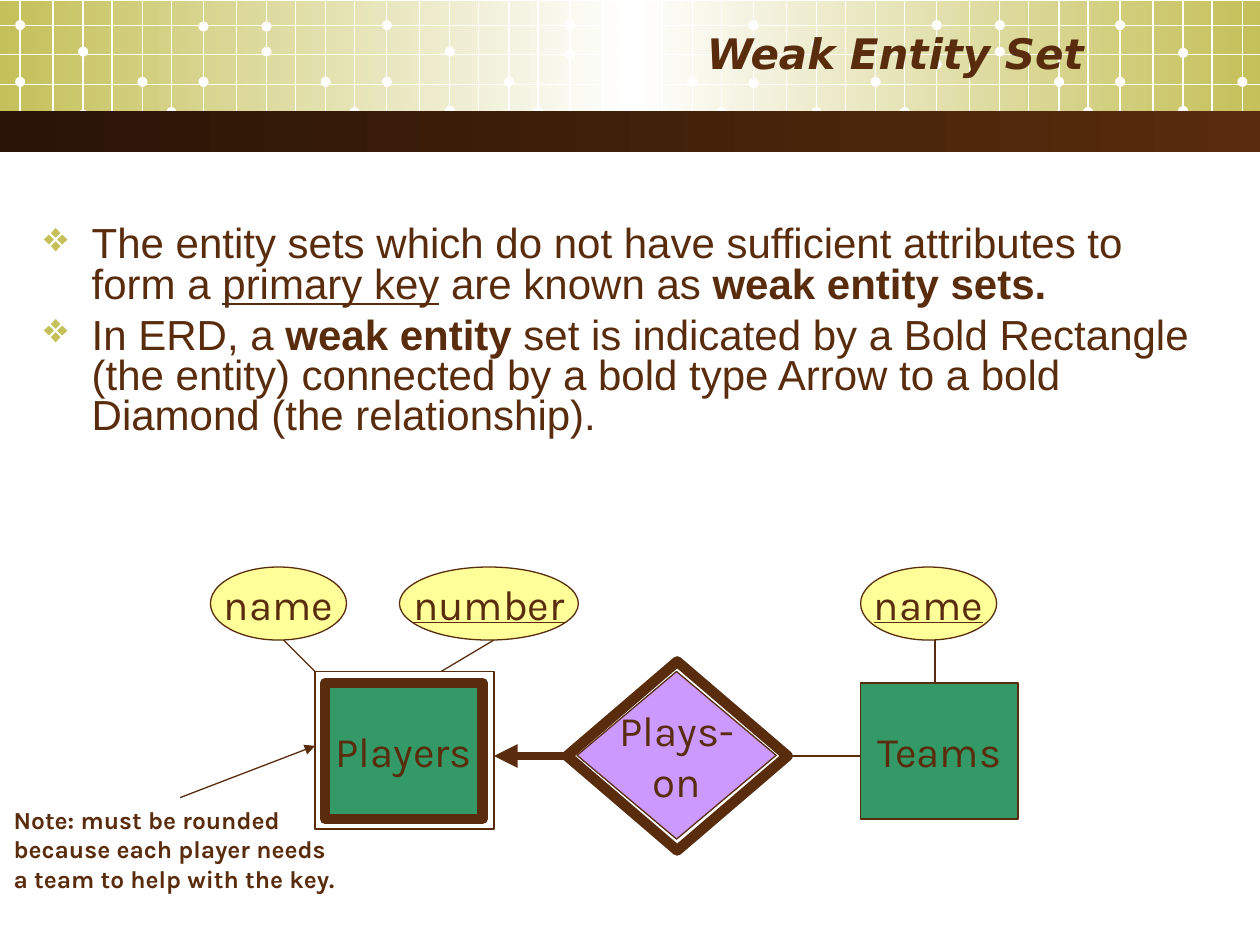
from lxml.etree import SubElement
from pptx import Presentation
from pptx.dml.color import RGBColor
from pptx.enum.shapes import MSO_CONNECTOR, MSO_SHAPE
from pptx.enum.text import MSO_ANCHOR, PP_ALIGN
from pptx.oxml.ns import qn
from pptx.util import Inches, Pt

BROWN = RGBColor(0x59, 0x2C, 0x0D)
DARK = RGBColor(0x29, 0x14, 0x06)
OLIVE = RGBColor(0xC5, 0xC0, 0x59)
WHITE = RGBColor(0xFF, 0xFF, 0xFF)
GREEN = RGBColor(0x33, 0x99, 0x66)
LILAC = RGBColor(0xCC, 0x99, 0xFF)
CREAM = RGBColor(0xFF, 0xFF, 0x99)

RECT, OVAL, DIAMOND = MSO_SHAPE.RECTANGLE, MSO_SHAPE.OVAL, MSO_SHAPE.DIAMOND

# Grid columns repeat in groups of six.
GROUP = 1.455
STEPS = (0, 0.26, 0.5, 0.73, 0.97, 1.2)
ROWS = (0.2, 0.43, 0.67, 0.89)
DOT = 0.08
# Dot tops in each group: two on the first column, two on the third.
DOTS = (
    (0.16, 0.61, 0.37, 0.87),
    (0.17, 0.61, 0.37, 0.17),
    (0.16, 0.61, 0.37, 0.84),
    (0.16, 0.39, 0.38, 0.16),
    (0.16, 0.62, 0.31, 0.85),
    (0.16, 0.47, 0.37, 0.16),
    (0.16, 0.61, 0.38, 0.84),
)

# Each run is its text and its style: "b" for bold, "u" for underlined.
POINTS = (
    (
        ("The entity sets which do not have sufficient attributes to form a ", ""),
        ("primary key", "u"),
        (" are known as ", ""),
        ("weak entity sets.", "b"),
    ),
    (
        ("In ERD, a ", ""),
        ("weak entity", "b"),
        (" set is indicated by a Bold Rectangle (the entity) connected by a bold "
         "type Arrow to a bold Diamond (the relationship).", ""),
    ),
)
NOTE = ("Note: must be rounded", "because each player needs",
        "a team to help with the key.")


class Deck:
    def __init__(self, slide):
        self.shapes = slide.shapes
        self.ink = BROWN
        self.face = "Karla"
        self.size = 24

    def style(self, para, size=None, face=None, **flags):
        font = para.font
        font.name = face or self.face
        font.size = Pt(size or self.size)
        font.color.rgb = self.ink
        for name, value in flags.items():
            setattr(font, name, value)

    def shape(self, kind, box, fill=None, width=None, lines=(), **flags):
        """Draw a preset shape; without a fill or width that part is empty."""
        item = self.shapes.add_shape(kind, *map(Inches, box))
        item.shadow.inherit = False
        if fill is None:
            item.fill.background()
        else:
            item.fill.solid()
            item.fill.fore_color.rgb = fill
        if width is None:
            item.line.fill.background()
        else:
            item.line.color.rgb = self.ink
            item.line.width = Pt(width)
        if lines:
            frame = item.text_frame
            frame.word_wrap = False
            frame.vertical_anchor = MSO_ANCHOR.MIDDLE
            self.label(frame, lines, PP_ALIGN.CENTER, **flags)
        return item

    def label(self, frame, lines, align, **style):
        for i, line in enumerate(lines):
            para = frame.add_paragraph() if i else frame.paragraphs[0]
            para.text = line
            para.alignment = align
            self.style(para, **style)

    def band(self, box, *colors):
        """Draw a bar that blends evenly from left to right."""
        item = self.shape(RECT, box)
        item.fill.gradient()
        item.fill.gradient_angle = 0
        stops = item._element.spPr.find(qn("a:gradFill")).find(qn("a:gsLst"))
        for stop in list(stops):
            stops.remove(stop)
        for i, color in enumerate(colors):
            pos = 100000 * i // (len(colors) - 1)
            stop = SubElement(stops, qn("a:gs"), pos=str(pos))
            SubElement(stop, qn("a:srgbClr"), val=str(color))

    def line(self, start, end, color=None, width=0.75, arrow=False):
        ends = map(Inches, (*start, *end))
        item = self.shapes.add_connector(MSO_CONNECTOR.STRAIGHT, *ends)
        item.line.color.rgb = color or self.ink
        item.line.width = Pt(width)
        props = item._element.spPr
        if arrow:
            SubElement(props.find(qn("a:ln")), qn("a:tailEnd"), type="triangle")
        SubElement(props, qn("a:effectLst"))

    def text(self, box, lines, align=PP_ALIGN.LEFT, wrap=True,
             anchor=MSO_ANCHOR.TOP, **style):
        frame = self.shapes.add_textbox(*map(Inches, box)).text_frame
        frame.word_wrap = wrap
        frame.vertical_anchor = anchor
        self.label(frame, lines, align, **style)

    def bullets(self, box, points):
        frame = self.shapes.add_textbox(*map(Inches, box)).text_frame
        frame.word_wrap = True
        for i, runs in enumerate(points):
            para = frame.add_paragraph() if i else frame.paragraphs[0]
            para.line_spacing = 0.8
            para.space_before = Pt(6 if i else 0)
            props = para._p.get_or_add_pPr()
            props.set("marL", str(Inches(0.38)))
            props.set("indent", str(Inches(-0.38)))
            color = SubElement(props, qn("a:buClr"))
            SubElement(color, qn("a:srgbClr"), val=str(OLIVE))
            SubElement(props, qn("a:buChar"), char="❖")
            self.style(para, face="Arial")
            for words, look in runs:
                run = para.add_run()
                run.text = words
                if look == "b":
                    run.font.bold = True
                elif look == "u":
                    run.font.underline = True

    def grid(self):
        """Draw the white net with its dots over the top band."""
        for i, tops in enumerate(DOTS):
            cols = [0.16 + GROUP * i + step for step in STEPS]
            for x in cols:
                if x < 10:
                    self.line((x, 0), (x, 1.1), WHITE)
            for col, top in zip((0, 0, 2, 2, 4, 5), (*tops, 0.61, 0.85)):
                if cols[col] < 10:
                    box = (cols[col] - DOT / 2, top, DOT, DOT)
                    self.shape(OVAL, box, WHITE)
        for y in ROWS:
            self.line((0, y), (10, y), WHITE)


def main():
    show = Presentation()
    show.slide_width, show.slide_height = Inches(10), Inches(7.5)
    deck = Deck(show.slides.add_slide(show.slide_layouts[6]))

    deck.band((0, 0.01, 10, 1.02), OLIVE, WHITE, OLIVE)
    deck.grid()
    deck.band((0, 0.88, 10, 0.33), DARK, BROWN)
    deck.text((0.25, 0, 8.45, 0.84), ["Weak Entity Set"], PP_ALIGN.RIGHT,
              anchor=MSO_ANCHOR.MIDDLE, face="DejaVu Sans", bold=True, italic=True)
    deck.bullets((0.25, 1.75, 9.5, 2.63), POINTS)

    deck.shape(RECT, (2.58, 5.42, 1.25, 1.08), GREEN, 6, ["Players"])
    deck.shape(RECT, (6.83, 5.42, 1.25, 1.08), GREEN, 0.75, ["Teams"])
    deck.shape(RECT, (2.5, 5.33, 1.42, 1.25), width=0.75)
    deck.shape(DIAMOND, (4.58, 5.33, 1.58, 1.33), LILAC, 0.75, ["Plays-", "on"])
    deck.shape(DIAMOND, (4.5, 5.25, 1.75, 1.5), width=6)
    for x, wide, name, key in ((1.67, 1.08, "name", False),
                               (6.83, 1.08, "name", True),
                               (3.17, 1.42, "number", True)):
        deck.shape(OVAL, (x, 4.5, wide, 0.58), CREAM, 0.75, [name], underline=key)

    deck.line((4.5, 6), (3.92, 6), width=4.5, arrow=True)
    for start, end in (((2.25, 5.08), (2.5, 5.33)), ((3.92, 5.08), (3.5, 5.33)),
                       ((7.42, 5.08), (7.42, 5.42)), ((6.25, 6), (6.83, 6))):
        deck.line(start, end)
    deck.text((0.01, 6.34, 2.93, 0.8), NOTE, wrap=False, size=14, bold=True)
    deck.line((1.43, 6.33), (2.5, 5.92), arrow=True)

    show.save("out.pptx")


if __name__ == "__main__":
    main()
